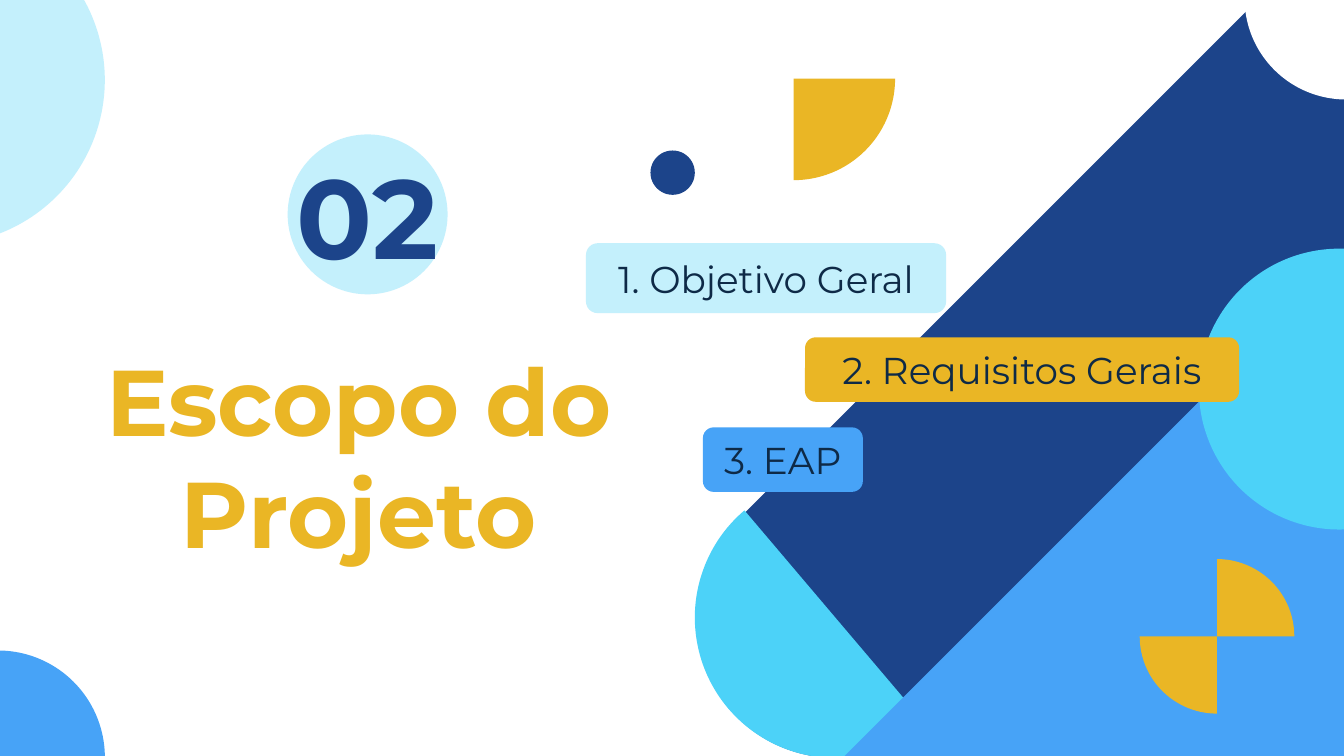
from lxml.etree import SubElement
from pptx import Presentation
from pptx.dml.color import RGBColor
from pptx.enum.shapes import MSO_SHAPE as Shape
from pptx.enum.text import MSO_ANCHOR, PP_ALIGN
from pptx.oxml.ns import qn
from pptx.util import Inches, Pt

NAVY, CYAN, BLUE, YELLOW, WHITE, INK = "1C448A", "4CD2F8", "47A3F7", "EAB625", "FFFFFF", "0E2A47"
PALE = 33
QUARTER, HALF = (108, 162), (108, 216)
UPPER_RIGHT, LOWER_RIGHT, LOWER_LEFT = 90, 180, 270

BACKDROP = [
    (Shape.ROUND_2_SAME_RECTANGLE, (6.97, -0.75, 2.07, 7.13), NAVY, dict(turn=225, adjust=(0.5, 0))),
    (Shape.PIE, (5.17, 3.55, 2.09, 2.09), CYAN, dict(turn=229.7, adjust=HALF)),
    (Shape.RIGHT_TRIANGLE, (6.28, 1.91, 3.72, 3.72), BLUE, dict(turn=270)),
    (Shape.OVAL, (8.92, 1.85, 2.09, 2.09), CYAN, {}),
    (Shape.PIE, (9.26, -0.77, 1.51, 1.51), WHITE, dict(turn=LOWER_LEFT, adjust=QUARTER)),
    (Shape.PIE, (-0.81, 4.84, 1.59, 1.59), BLUE, dict(turn=UPPER_RIGHT, adjust=QUARTER)),
    (Shape.OVAL, (-1.67, -0.63, 2.45, 2.45), CYAN, dict(opacity=PALE)),
    (Shape.OVAL, (2.14, 1, 1.19, 1.19), CYAN, dict(opacity=PALE)),
]
HEADINGS = [
    ("Escopo do Projeto", (0.66, 2.67, 4.02, 1.43), dict(size=50, color=YELLOW, bold=True)),
    ("02", (2.09, 1.12, 1.29, 0.95), dict(size=60, color=NAVY, bold=True)),
]
ORNAMENTS = [
    (Shape.PIE, (8.48, 4.16, 1.15, 1.15), YELLOW, dict(turn=LOWER_LEFT, adjust=QUARTER)),
    (Shape.PIE, (8.48, 4.16, 1.15, 1.15), YELLOW, dict(turn=UPPER_RIGHT, adjust=QUARTER)),
    (Shape.PIE, (5.15, -0.17, 1.51, 1.51), YELLOW, dict(turn=LOWER_RIGHT, adjust=QUARTER)),
    (Shape.OVAL, (4.84, 1.12, 0.33, 0.33), NAVY, {}),
]
TOPICS = [
    ("1. Objetivo Geral", (4.36, 1.81, 2.68, 0.52), CYAN, PALE),
    ("2. Requisitos Gerais", (5.99, 2.51, 3.23, 0.48), YELLOW, 100),
    ("3. EAP", (5.23, 3.18, 1.19, 0.48), BLUE, 100),
]


def rgb(color):
    return RGBColor.from_string(color)


def add_figure(slide, kind, place, color, turn=0, adjust=(), opacity=100):
    figure = slide.shapes.add_shape(kind, *map(Inches, place))
    figure.shadow.inherit = False
    figure.rotation = turn
    for index, value in enumerate(adjust):
        figure.adjustments[index] = value
    figure.fill.solid()
    figure.fill.fore_color.rgb = rgb(color)
    figure.line.fill.background()
    if opacity < 100:
        fill_color = figure.element.spPr.find(qn("a:solidFill"))[0]
        SubElement(fill_color, qn("a:alpha")).set("val", str(opacity * 1000))
    return figure


def write(holder, text, size=20, color=INK, bold=False):
    frame = holder.text_frame
    frame.word_wrap = True
    frame.vertical_anchor = MSO_ANCHOR.MIDDLE
    frame.margin_left = frame.margin_right = Inches(0.1)
    frame.margin_top = frame.margin_bottom = Inches(0.1)
    paragraph = frame.paragraphs[0]
    paragraph.alignment = PP_ALIGN.CENTER
    run = paragraph.add_run()
    run.text = text
    run.font.name = "Montserrat"
    run.font.size = Pt(size)
    run.font.bold = bold
    run.font.color.rgb = rgb(color)


def main():
    deck = Presentation()
    deck.slide_width = Inches(10)
    deck.slide_height = deck.slide_width * 9 // 16
    slide = deck.slides.add_slide(deck.slide_layouts[6])
    for kind, place, color, look in BACKDROP:
        add_figure(slide, kind, place, color, **look)
    for text, place, look in HEADINGS:
        write(slide.shapes.add_textbox(*map(Inches, place)), text, **look)
    for kind, place, color, look in ORNAMENTS:
        add_figure(slide, kind, place, color, **look)
    for text, place, color, opacity in TOPICS:
        label = add_figure(slide, Shape.ROUNDED_RECTANGLE, place, color, adjust=(0.167,), opacity=opacity)
        write(label, text)
    deck.save("out.pptx")


if __name__ == "__main__":
    main()
